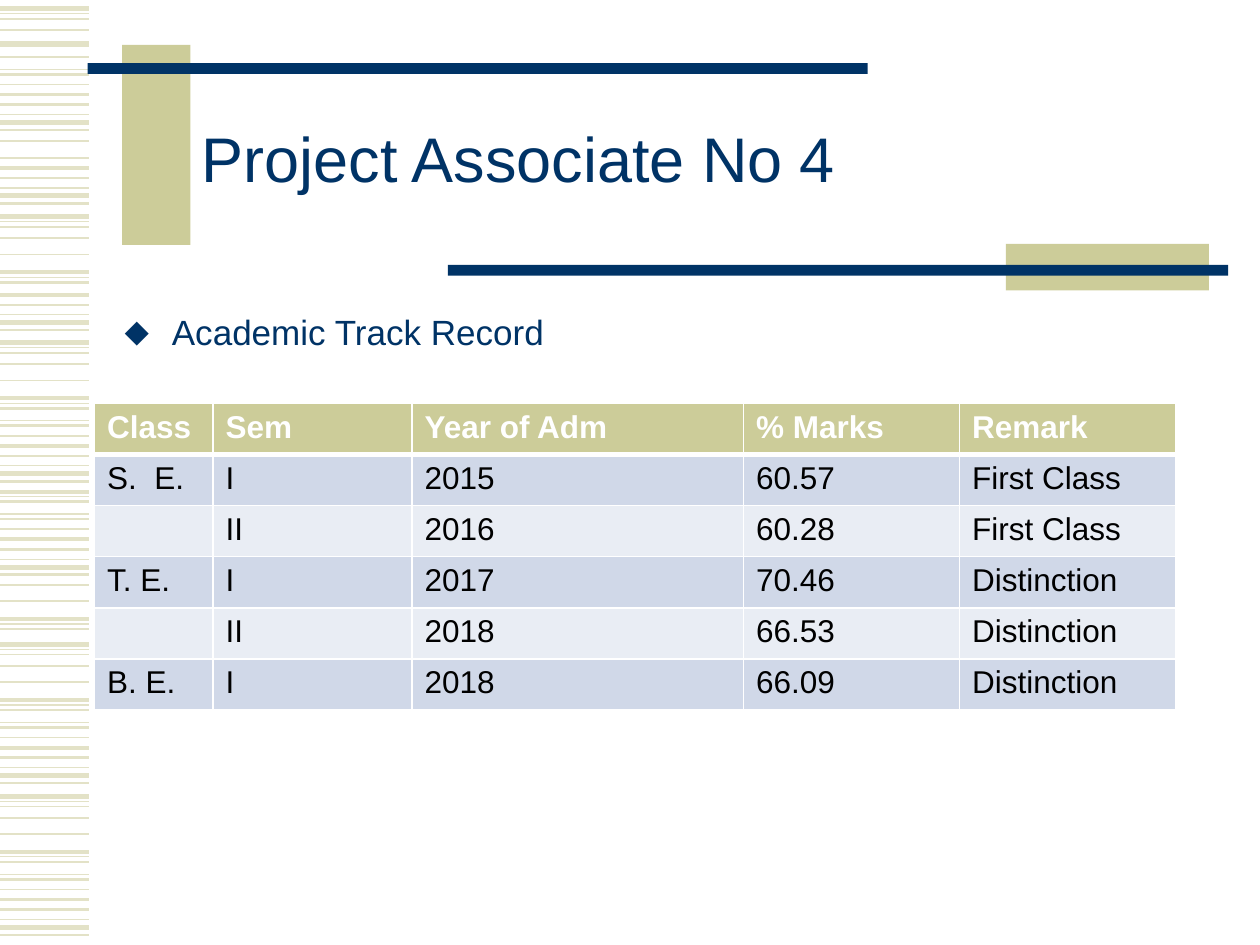
from dataclasses import dataclass

import lxml.etree
import pptx
import pptx.dml.color
import pptx.enum.shapes
import pptx.enum.text
import pptx.oxml.ns
import pptx.util

Pt = pptx.util.Pt
qn = pptx.oxml.ns.qn

FONT = "Arial"
NAVY, KHAKI, PALE_KHAKI, WHITE, BLACK = "003366", "CCCC99", "E3E2C7", "FFFFFF", "000000"
BAND_FILLS = ("D0D8E8", "E9EDF4")

# Stripe motif: (offset from the top of the motif, line weight)
MOTIF = [
    (0, 3), (2.9, 0.75), (5.8, 1), (12.3, 1), (21.6, 1), (31.7, 2.25),
    (34.6, 0.75), (37.5, 1.5), (44.6, 0.75), (47.5, 1.5), (53.3, 1),
    (59, 2.25), (64.8, 1.5), (70.4, 0.75), (74.9, 3), (79.2, 1.5),
]
STRIPE_LENGTH = 51.1


@dataclass
class StripeRun:
    """A stretch of the motif, from stripe first up to stripe stop."""
    top: float
    first: int = 0
    stop: int = len(MOTIF)


@dataclass
class Bar:
    left: float
    top: float
    width: float
    height: float
    color: str


STRIPE_RUNS = [
    StripeRun(5, 0, 4), StripeRun(25.2, 0, 1), StripeRun(-5, 7),
    StripeRun(59, 4, 5), StripeRun(37, 10), StripeRun(123.8, 0, 8),
    StripeRun(109.5, 11), StripeRun(195.8), StripeRun(249.2, 5),
    StripeRun(322, 3, 8), StripeRun(368.2), StripeRun(455),
]
BARS = [
    Bar(69.8, 25.7, 39, 114.3, KHAKI),
    Bar(50, 36, 445.8, 6.2, NAVY),
    Bar(574.8, 139.4, 116, 26.6, KHAKI),
    Bar(256, 151.3, 445.8, 6.2, NAVY),
]
COLUMN_WIDTHS = [67.7, 113.8, 189.4, 123.5, 123.5]
ROW_HEIGHT = 29.25
RECORDS = [
    ("Class", "Sem", "Year of Adm", "% Marks", "Remark"),
    ("S.  E.", "I", "2015", "60.57", "First Class"),
    ("", "II", "2016", "60.28", "First Class"),
    ("T. E.", "I", "2017", "70.46", "Distinction"),
    ("", "II", "2018", "66.53", "Distinction"),
    ("B. E.", "I", "2018", "66.09", "Distinction"),
]


def rgb(color: str) -> pptx.dml.color.RGBColor:
    return pptx.dml.color.RGBColor.from_string(color)


def set_font(para, size: float, color: str, bold: bool = False) -> None:
    para.font.name = FONT
    para.font.size = Pt(size)
    para.font.bold = bold
    para.font.color.rgb = rgb(color)


def place(shape, left: float, top: float, width: float, height: float) -> None:
    shape.left, shape.top = Pt(left), Pt(top)
    shape.width, shape.height = Pt(width), Pt(height)


def draw_stripes(page, run: StripeRun) -> None:
    for offset, weight in MOTIF[run.first:run.stop]:
        y = Pt(run.top + offset)
        stripe = page.shapes.add_connector(
            pptx.enum.shapes.MSO_CONNECTOR.STRAIGHT, 0, y, Pt(STRIPE_LENGTH), y)
        stripe.line.color.rgb = rgb(PALE_KHAKI)
        stripe.line.width = Pt(weight)
        lxml.etree.SubElement(stripe._element.spPr, qn("a:effectLst"))


def draw_bar(page, bar: Bar) -> None:
    shape = page.shapes.add_shape(
        pptx.enum.shapes.MSO_SHAPE.RECTANGLE,
        Pt(bar.left), Pt(bar.top), Pt(bar.width), Pt(bar.height))
    shape.shadow.inherit = False
    shape.fill.solid()
    shape.fill.fore_color.rgb = rgb(bar.color)
    shape.line.fill.background()


def set_bullet(para, symbol: str, color: str, indent: float) -> None:
    properties = para._p.get_or_add_pPr()
    properties.set("marL", str(Pt(indent)))
    properties.set("indent", str(-Pt(indent)))
    bullet_color = lxml.etree.Element(qn("a:buClr"))
    lxml.etree.SubElement(bullet_color, qn("a:srgbClr"), val=color)
    bullet = lxml.etree.Element(qn("a:buChar"), char=symbol)
    properties.insert(0, bullet_color)
    properties.insert(1, bullet)


def set_borders(cell, weights: dict[str, float]) -> None:
    properties = cell._tc.get_or_add_tcPr()
    for side, weight in weights.items():
        line = lxml.etree.SubElement(properties, qn(f"a:ln{side}"), w=str(Pt(weight)))
        fill = lxml.etree.SubElement(line, qn("a:solidFill"))
        lxml.etree.SubElement(fill, qn("a:srgbClr"), val=WHITE)


def draw_table(page, left: float, top: float) -> None:
    table = page.shapes.add_table(
        len(RECORDS), len(COLUMN_WIDTHS), Pt(left), Pt(top),
        Pt(sum(COLUMN_WIDTHS)), Pt(ROW_HEIGHT * len(RECORDS))).table
    for column, width in zip(table.columns, COLUMN_WIDTHS):
        column.width = Pt(width)
    for row_index, record in enumerate(RECORDS):
        table.rows[row_index].height = Pt(ROW_HEIGHT)
        header = row_index == 0
        fill = KHAKI if header else BAND_FILLS[(row_index - 1) % 2]
        borders = {"L": 1, "R": 1, "T": 3 if row_index == 1 else 1, "B": 3 if header else 1}
        for column_index, text in enumerate(record):
            cell = table.cell(row_index, column_index)
            cell.text = text
            set_font(cell.text_frame.paragraphs[0], 18, WHITE if header else BLACK, header)
            set_borders(cell, borders)
            cell.fill.solid()
            cell.fill.fore_color.rgb = rgb(fill)


def main() -> None:
    deck = pptx.Presentation()
    deck.slide_width, deck.slide_height = Pt(720), Pt(540)
    page = deck.slides.add_slide(deck.slide_layouts[1])

    # Striped margin and accent bars
    for run in STRIPE_RUNS:
        draw_stripes(page, run)
    for bar in BARS:
        draw_bar(page, bar)

    # Title
    title = page.shapes.title
    place(title, 108, 48, 581, 90)
    title.text_frame.text = "Project Associate No 4"
    title.text_frame.vertical_anchor = pptx.enum.text.MSO_ANCHOR.MIDDLE
    heading = title.text_frame.paragraphs[0]
    heading.alignment = pptx.enum.text.PP_ALIGN.LEFT
    heading.line_spacing = 0.85
    set_font(heading, 36, NAVY)

    # Bulleted list
    body = page.placeholders[1]
    place(body, 64, 174, 626, 305)
    body.text_frame.text = "Academic Track Record"
    item = body.text_frame.paragraphs[0]
    set_font(item, 20, NAVY)
    set_bullet(item, "⬥", NAVY, 27)

    # Academic record
    draw_table(page, 54, 230.4)

    deck.save("out.pptx")


if __name__ == "__main__":
    main()
